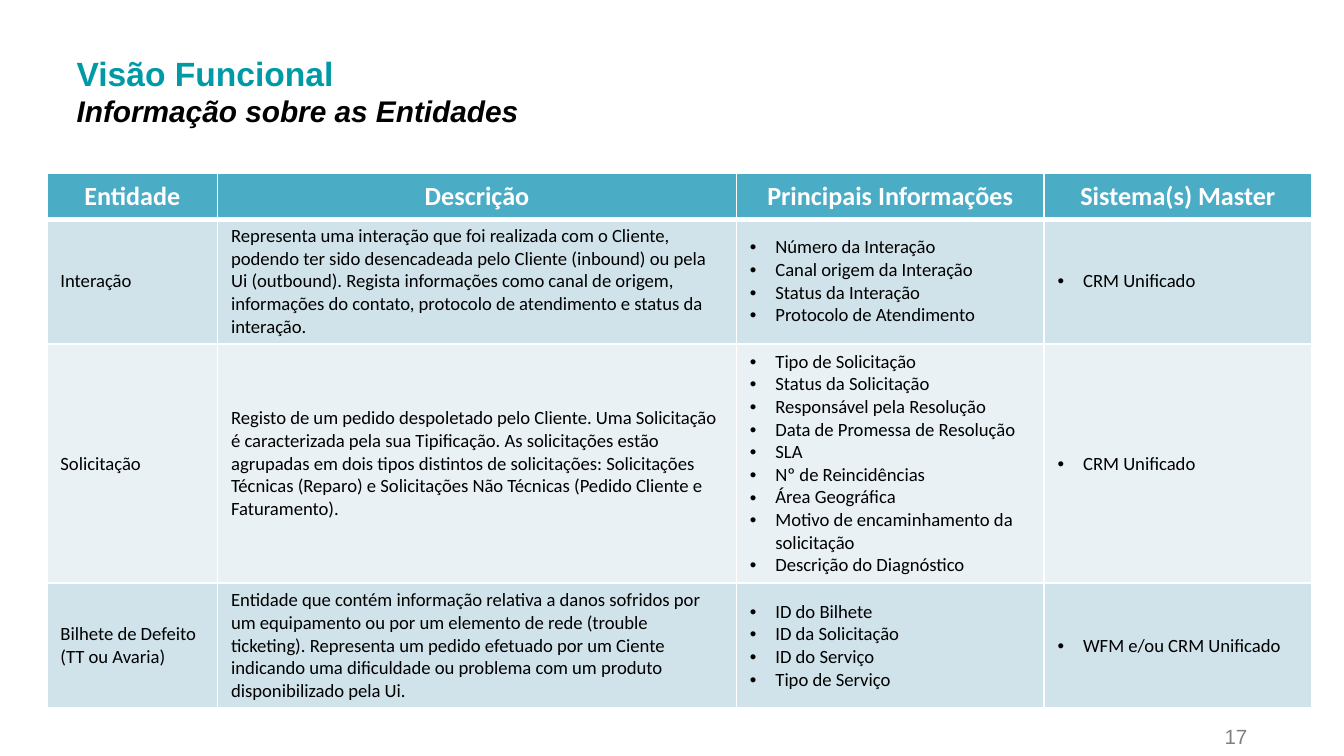
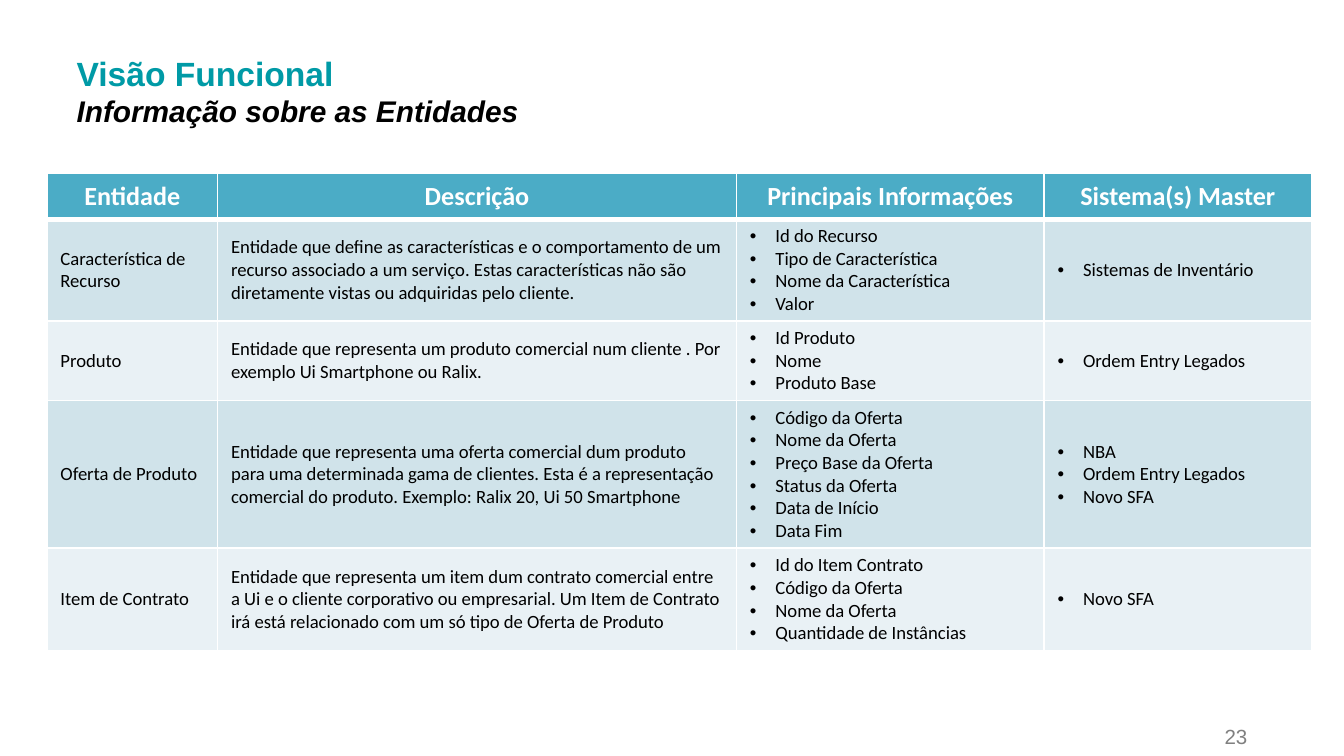
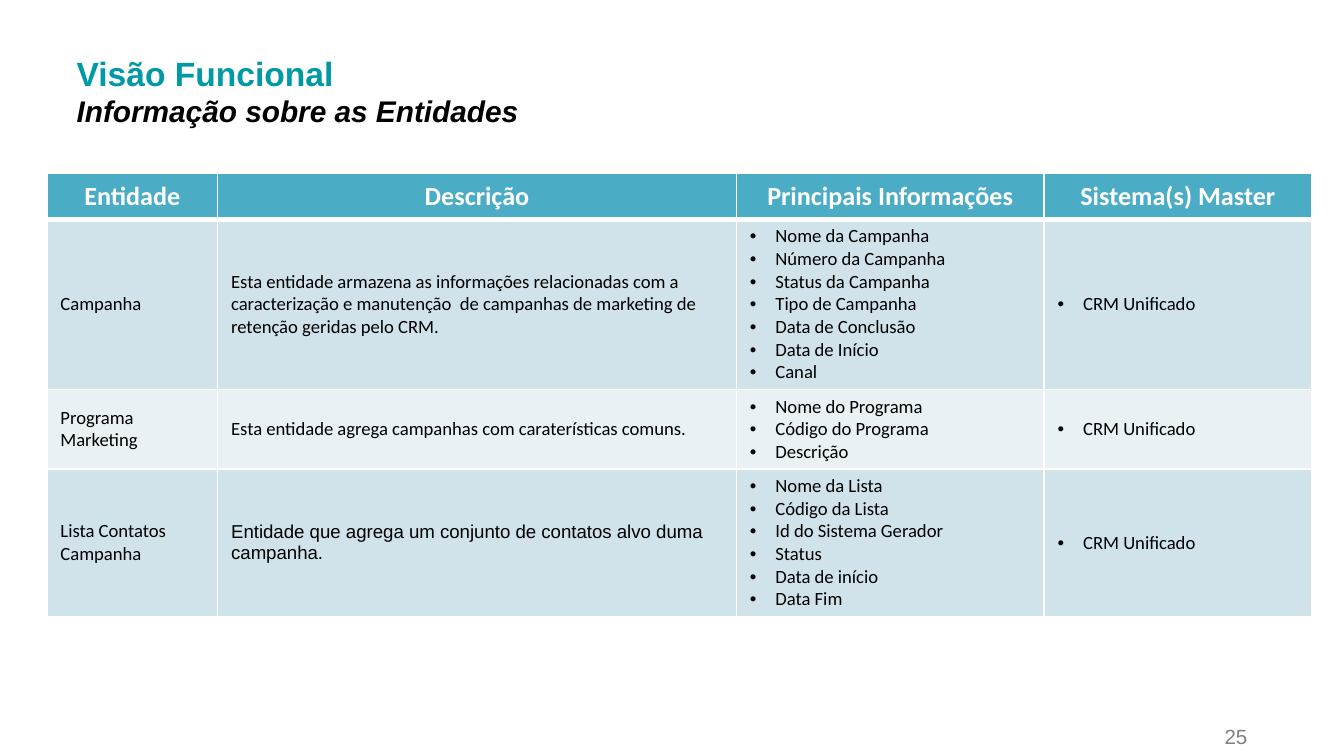
from lxml import etree
from pptx import Presentation
from pptx import util as u
from pptx.dml.color import RGBColor
from pptx.enum import text
from pptx.oxml.ns import qn

COLORS = {
    "teal": "009AA6",
    "black": "000000",
    "white": "FFFFFF",
    "grey": "808080",
    "header": "4BACC6",
    "odd_row": "D0E3EA",
    "even_row": "E9F1F5",
}
HEADINGS = ["Entidade", "Descrição", "Principais Informações", "Sistema(s) Master"]
COLUMN_WIDTHS = [1.27, 3.86, 2.29, 1.99]
HEADER_HEIGHT = 0.34
LINE_HEIGHT = 0.17
CELL_MARGIN = 0.04
BULLET_INDENT = 0.19

INTERACTION_ROWS = [
    (5, ["Interação"],
     "Representa uma interação que foi realizada com o Cliente, podendo ter sido "
     "desencadeada pelo Cliente (inbound) ou pela Ui (outbound). Regista informações "
     "como canal de origem, informações do contato, protocolo de atendimento e status "
     "da interação.",
     ["Número da Interação", "Canal origem da Interação", "Status da Interação",
      "Protocolo de Atendimento"],
     ["CRM Unificado"]),
    (10, ["Solicitação"],
     "Registo de um pedido despoletado pelo Cliente. Uma Solicitação é caracterizada "
     "pela sua Tipificação. As solicitações estão agrupadas em dois tipos distintos de "
     "solicitações: Solicitações Técnicas (Reparo) e Solicitações Não Técnicas (Pedido "
     "Cliente e Faturamento).",
     ["Tipo de Solicitação", "Status da Solicitação", "Responsável pela Resolução",
      "Data de Promessa de Resolução", "SLA", "Nº de Reincidências", "Área Geográfica",
      "Motivo de encaminhamento da solicitação", "Descrição do Diagnóstico"],
     ["CRM Unificado"]),
    (5, ["Bilhete de Defeito", "(TT ou Avaria)"],
     "Entidade que contém informação relativa a danos sofridos por um equipamento ou "
     "por um elemento de rede (trouble ticketing). Representa um pedido efetuado por um "
     "Ciente indicando uma dificuldade ou problema com um produto disponibilizado pela "
     "Ui.",
     ["ID do Bilhete", "ID da Solicitação", "ID do Serviço", "Tipo de Serviço"],
     ["WFM e/ou CRM Unificado"]),
]
PRODUCT_ROWS = [
    (4, ["Característica de Recurso"],
     "Entidade que define as características e o comportamento de um recurso associado "
     "a um serviço. Estas características não são diretamente vistas ou adquiridas pelo "
     "cliente.",
     ["Id do Recurso", "Tipo de Característica", "Nome da Característica", "Valor"],
     ["Sistemas de Inventário"]),
    (3, ["Produto"],
     "Entidade que representa um produto comercial num cliente . Por exemplo Ui "
     "Smartphone ou Ralix.",
     ["Id Produto", "Nome", "Produto Base"],
     ["Ordem Entry Legados"]),
    (6, ["Oferta de Produto"],
     "Entidade que representa uma oferta comercial dum produto para uma determinada "
     "gama de clientes. Esta é a representação comercial do produto. Exemplo: Ralix 20, "
     "Ui 50 Smartphone",
     ["Código da Oferta", "Nome da Oferta", "Preço Base da Oferta", "Status da Oferta",
      "Data de Início", "Data Fim"],
     ["NBA", "Ordem Entry Legados", "Novo SFA"]),
    (4, ["Item de Contrato"],
     "Entidade que representa um item dum contrato comercial entre a Ui e o cliente "
     "corporativo ou empresarial. Um Item de Contrato irá está relacionado com um só "
     "tipo de Oferta de Produto",
     ["Id do Item Contrato", "Código da Oferta", "Nome da Oferta",
      "Quantidade de Instâncias"],
     ["Novo SFA"]),
]
CAMPAIGN_ROWS = [
    (7, ["Campanha"],
     "Esta entidade armazena as informações relacionadas com a caracterização e "
     "manutenção  de campanhas de marketing de retenção geridas pelo CRM.",
     ["Nome da Campanha", "Número da Campanha", "Status da Campanha",
      "Tipo de Campanha", "Data de Conclusão", "Data de Início", "Canal"],
     ["CRM Unificado"]),
    (3, ["Programa Marketing"],
     "Esta entidade agrega campanhas com caraterísticas comuns.",
     ["Nome do Programa", "Código do Programa", "Descrição"],
     ["CRM Unificado"]),
    (6, ["Lista Contatos", "Campanha"],
     "Entidade que agrega um conjunto de contatos alvo duma campanha.",
     ["Nome da Lista", "Código da Lista", "Id do Sistema Gerador", "Status",
      "Data de início", "Data Fim"],
     ["CRM Unificado"]),
]


def rgb(name):
    return RGBColor.from_string(COLORS[name])


def write(para, words, size=10, font="Calibri", color="black", bold=False,
          italic=False, align="LEFT", bullet=False):
    if bullet:
        properties = para._p.get_or_add_pPr()
        properties.set("marL", str(u.Inches(BULLET_INDENT)))
        properties.set("indent", str(-u.Inches(BULLET_INDENT)))
        etree.SubElement(properties, qn("a:buFont"), typeface="Arial")
        etree.SubElement(properties, qn("a:buChar"), char="•")
    para.alignment = text.PP_ALIGN[align]
    span = para.add_run()
    span.text = words
    span.font.size = u.Pt(size)
    span.font.name = font
    span.font.color.rgb = rgb(color)
    span.font.bold = bold
    span.font.italic = italic


def place(box, left, top, width, height):
    box.left, box.top = u.Inches(left), u.Inches(top)
    box.width, box.height = u.Inches(width), u.Inches(height)


def add_title(page):
    title = page.shapes.title
    place(title, 0.47, 0.34, 7.4, 0.67)
    frame = title.text_frame
    frame.word_wrap = True
    frame.auto_size = text.MSO_AUTO_SIZE.SHAPE_TO_FIT_TEXT
    frame.vertical_anchor = text.MSO_ANCHOR.TOP
    write(frame.paragraphs[0], "Visão Funcional", size=18, font="Arial",
          color="teal", bold=True)
    write(frame.add_paragraph(), "Informação sobre as Entidades", size=16,
          font="Arial", bold=True, italic=True)


def add_page_number(page, number):
    box = page.shapes.add_textbox(0, 0, 0, 0)
    place(box, 8.46, 5.33, 0.92, 0.29)
    frame = box.text_frame
    frame.word_wrap = True
    frame.vertical_anchor = text.MSO_ANCHOR.BOTTOM
    para = frame.paragraphs[0]
    para.line_spacing = 0.8
    write(para, str(number), size=11, font="Arial", color="grey", align="RIGHT")


def add_borders(cell, **widths):
    properties = cell._tc.get_or_add_tcPr()
    for side, width in widths.items():
        line = etree.SubElement(properties, qn(f"a:ln{side}"), w=str(u.Pt(width)))
        fill = etree.SubElement(line, qn("a:solidFill"))
        etree.SubElement(fill, qn("a:srgbClr"), val=COLORS["white"])


def fill_cell(cell, lines, fill, top=1, bottom=1, **style):
    add_borders(cell, L=1, R=1, T=top, B=bottom)
    cell.fill.solid()
    cell.fill.fore_color.rgb = rgb(fill)
    cell.vertical_anchor = text.MSO_ANCHOR.MIDDLE
    cell.margin_top = cell.margin_bottom = u.Inches(CELL_MARGIN)
    frame = cell.text_frame
    for index, words in enumerate(lines):
        para = frame.add_paragraph() if index else frame.paragraphs[0]
        write(para, words, **style)


def add_entity_table(page, rows, last_description_font):
    heights = [HEADER_HEIGHT] + [row[0] * LINE_HEIGHT + 2 * CELL_MARGIN for row in rows]
    table = page.shapes.add_table(
        len(heights), len(HEADINGS), u.Inches(0.35), u.Inches(1.29),
        u.Inches(sum(COLUMN_WIDTHS)), u.Inches(sum(heights))).table
    for column, width in zip(table.columns, COLUMN_WIDTHS):
        column.width = u.Inches(width)
    for row, height in zip(table.rows, heights):
        row.height = u.Inches(height)
    for column, heading in enumerate(HEADINGS):
        fill_cell(table.cell(0, column), [heading], "header", bottom=3, size=14,
                  color="white", bold=True, align="CENTER")
    for index, (_, entity, description, information, masters) in enumerate(rows, 1):
        fill = "odd_row" if index % 2 else "even_row"
        top = 3 if index == 1 else 1
        font = last_description_font if index == len(rows) else "Calibri"
        fill_cell(table.cell(index, 0), entity, fill, top)
        fill_cell(table.cell(index, 1), [description], fill, top, font=font)
        fill_cell(table.cell(index, 2), information, fill, top, bullet=True)
        fill_cell(table.cell(index, 3), masters, fill, top, bullet=True)


def add_entity_page(deck, number, rows, last_description_font="Calibri"):
    page = deck.slides.add_slide(deck.slide_layouts[5])
    add_page_number(page, number)
    add_title(page)
    add_entity_table(page, rows, last_description_font)


def main():
    deck = Presentation()
    deck.slide_width = u.Inches(10)
    deck.slide_height = deck.slide_width * 9 // 16
    add_entity_page(deck, 17, INTERACTION_ROWS)
    add_entity_page(deck, 23, PRODUCT_ROWS)
    add_entity_page(deck, 25, CAMPAIGN_ROWS, last_description_font="Arial")
    deck.save("out.pptx")


if __name__ == "__main__":
    main()
